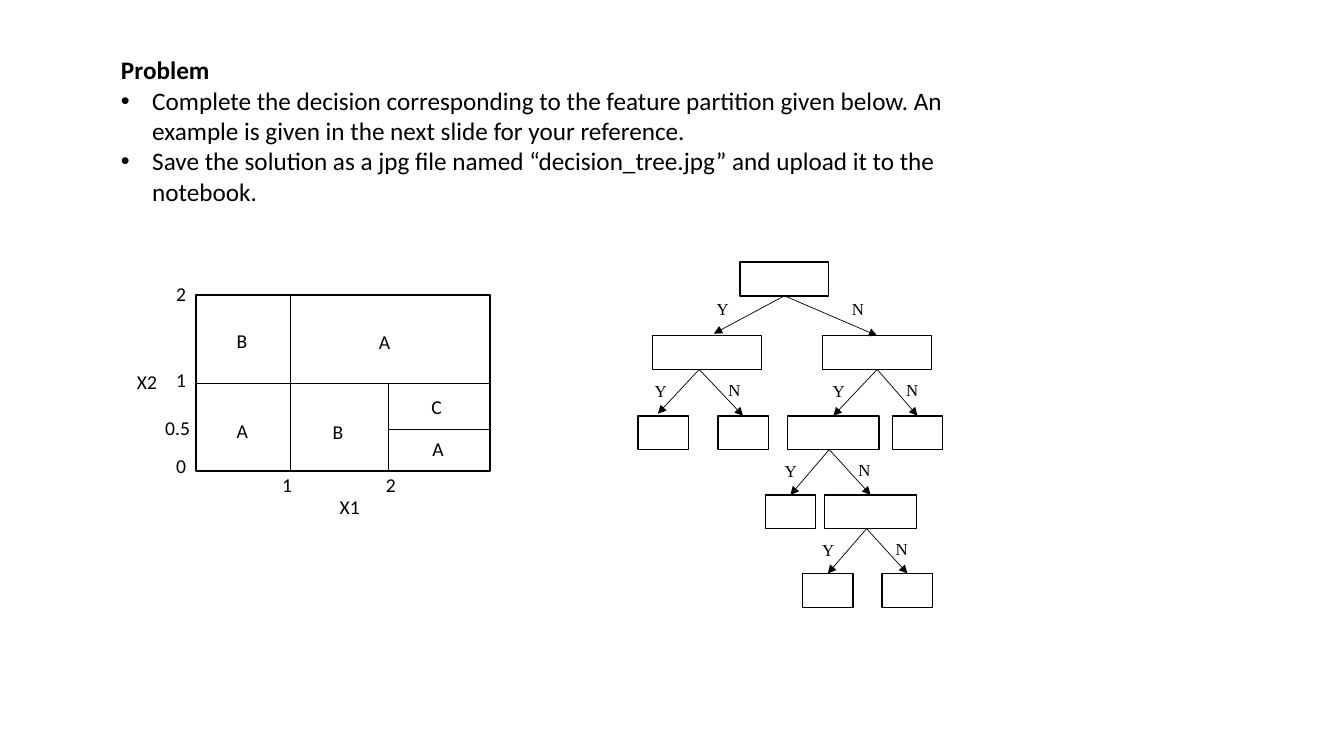
from lxml import etree
from pptx import Presentation
from pptx import util as u
from pptx.dml.color import RGBColor
from pptx.enum import shapes, text
from pptx.oxml.ns import qn

COLORS = {"ink": "000000"}
CELL = u.Inches(0.1)
NEAR = 0.3
TOP, LEFT, BOTTOM, RIGHT = range(4)
INK = RGBColor.from_string(COLORS["ink"])
HEADING = {"name": "Calibri", "size": u.Pt(18), "bold": True}
BODY = {"name": "Calibri", "size": u.Pt(18), "bold": False}
AXIS = {"name": "Calibri", "size": u.Pt(14)}
ANSWER = {"name": "Times New Roman", "size": u.Pt(12)}

TASKS = [
    "Complete the decision corresponding to the feature partition given below. "
    "An example is given in the next slide for your reference.",
    "Save the solution as a jpg file named “decision_tree.jpg” and upload it to the notebook.",
]
PARTITION_LABELS = [
    ("X1", 13.3, 19.3), ("1", 7.6, 17.1), ("2", 17.9, 17.1),
    ("X2", -6.8, 6.9), ("2", -2.9, -1.8), ("1", -2.9, 6.7),
    ("0.5", -4, 11.5), ("0", -2.9, 15.2),
    ("B", 3.1, 2.8), ("A", 17.2, 2.9), ("A", 3.1, 11.8),
    ("B", 12.6, 11.9), ("C", 22.4, 9.4), ("A", 22.5, 13.6),
]
LEVELS = [0, 7.3, 15.25, 23.1, 30.9]
NODE_HEIGHT = 3.35
NODES = {
    "root": (0, 10.1, 8.8),
    "Y": (1, 1.4, 10.8), "N": (1, 18.3, 10.8),
    "YY": (2, 0, 5), "YN": (2, 7.9, 5), "NY": (2, 14.8, 9.1), "NN": (2, 25.2, 5),
    "NYY": (3, 12.6, 5), "NYN": (3, 18.5, 9.1),
    "NYNY": (4, 16.3, 5), "NYNN": (4, 24.2, 5),
}
WIDE_FORK = {"Y": (-7, -7.7, -0.2), "N": (9, 5.7, -0.2)}
FORK = {"Y": (-4.1, -5.4, 0.6), "N": (4.1, 1.9, 0.5)}
FORKS = [("root", "", 14.5, WIDE_FORK), ("Y", "Y", 6.05, FORK), ("N", "N", 23.7, FORK),
         ("NY", "NY", 18.95, FORK), ("NYN", "NYN", 22.65, FORK)]


def cells(*counts):
    """Turn counts of grid cells into lengths."""
    return [round(count * CELL) for count in counts]


def style(font, values):
    """Apply a dict of format values to a font."""
    for name, value in values.items():
        setattr(font, name, value)
    font.color.rgb = INK


def outline(slide, left, top, width, height, weight):
    """Draw an empty rectangle."""
    box = slide.shapes.add_shape(shapes.MSO_SHAPE.RECTANGLE, *cells(left, top, width, height))
    box.shadow.inherit = False
    box.fill.background()
    box.line.color.rgb = INK
    box.line.width = u.Pt(weight)
    return box


def label(slide, words, left, top, width, height, font):
    """Write a short text at a grid position."""
    frame = slide.shapes.add_textbox(*cells(left, top, width, height)).text_frame
    frame.word_wrap = True
    frame.text = words
    style(frame.paragraphs[0].font, font)


def segment(slide, start, end, arrow=False):
    """Draw a thin straight line, with an arrowhead if asked."""
    line = slide.shapes.add_connector(shapes.MSO_CONNECTOR.STRAIGHT, *cells(*start, *end))
    line.line.color.rgb = INK
    line.line.width = u.Pt(0.5)
    if arrow:
        etree.SubElement(line.line._get_or_add_ln(), qn("a:tailEnd"), type="triangle")
    etree.SubElement(line._element.spPr, qn("a:effectLst"))
    return line


def place(shape, left, top, width, height):
    """Move a placeholder and return its top-aligned text frame."""
    shape.left, shape.top, shape.width, shape.height = cells(left, top, width, height)
    frame = shape.text_frame
    frame.word_wrap = True
    frame.auto_size = text.MSO_AUTO_SIZE.NONE
    frame.vertical_anchor = text.MSO_ANCHOR.TOP
    return frame


def problem(slide, left, top, width):
    """Write the heading and its bulleted tasks."""
    heading = place(slide.shapes.title, left, top, width, 4)
    heading.text = "Problem"
    heading.paragraphs[0].alignment = text.PP_ALIGN.LEFT
    style(heading.paragraphs[0].font, HEADING)
    tasks = place(slide.placeholders[1], left, top + 3.05, width, 13.2)
    tasks.text = "\n".join(TASKS)
    for task in tasks.paragraphs:
        indent = u.Inches(0.31)
        properties = task._p.get_or_add_pPr()
        properties.set("marL", str(indent))
        properties.set("indent", str(-indent))
        task.space_before = u.Pt(0)
        style(task.font, BODY)


def partition(slide, left, top, width, height):
    """Draw the feature partition with its axes and classes."""
    middle, right, bottom = top + height / 2, left + width, top + height
    first, second, lower = left + 9.4, left + 19.1, top + 13.3
    frame = outline(slide, left, top, width, height, 1.5)
    divider = segment(slide, (right, middle), (left, middle))
    divider.begin_connect(frame, RIGHT)
    divider.end_connect(frame, LEFT)
    segment(slide, (first, top), (first, bottom))
    segment(slide, (second, middle), (second, bottom))
    segment(slide, (right, lower), (second, lower))
    for words, across, down in PARTITION_LABELS:
        label(slide, words, left + across, top + down, 6, 3.4, AXIS)


def tree(slide, left, top):
    """Draw the blank decision tree with its yes and no branches."""
    boxes = {name: outline(slide, left + across, top + LEVELS[level], width, NODE_HEIGHT, 1)
             for name, (level, across, width) in NODES.items()}
    for parent, prefix, apex, fork in FORKS:
        level, across, width = NODES[parent]
        base = top + LEVELS[level] + NODE_HEIGHT
        for answer, (reach, label_shift, label_drop) in fork.items():
            child = prefix + answer
            child_level, child_across, child_width = NODES[child]
            tip = apex + reach
            branch = segment(slide, (left + apex, base),
                             (left + tip, top + LEVELS[child_level] - 0.2), arrow=True)
            if abs(across + width / 2 - apex) < NEAR:
                branch.begin_connect(boxes[parent], BOTTOM)
            if abs(child_across + child_width / 2 - tip) < NEAR:
                branch.end_connect(boxes[child], TOP)
            label(slide, answer, left + apex + label_shift, base + label_drop, 4, 3, ANSWER)


def main():
    """Build the slide and save it."""
    deck = Presentation()
    deck.slide_width, deck.slide_height = u.Inches(13.33), u.Inches(7.5)
    slide = deck.slides.add_slide(deck.slide_layouts[1])
    problem(slide, 11, 4.9, 89.2)
    partition(slide, 19.4, 29.3, 29.2, 17.4)
    tree(slide, 63.3, 26)
    deck.save("out.pptx")


if __name__ == "__main__":
    main()
